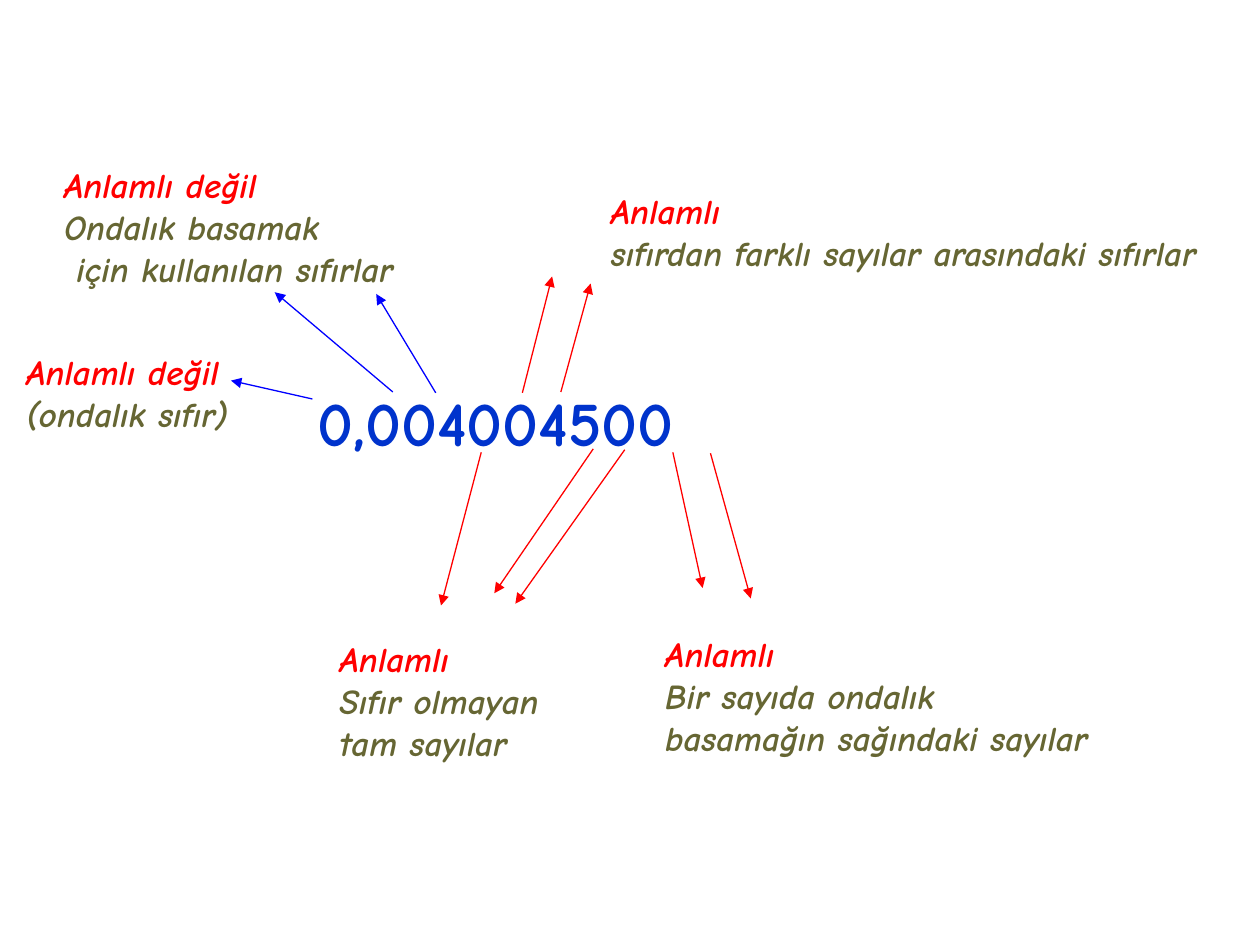
import pptx
import pptx.dml.color
import pptx.enum.shapes
import pptx.enum.text
import pptx.oxml.ns
import pptx.util
from lxml import etree

Pt = pptx.util.Pt
qn = pptx.oxml.ns.qn

FONT = "Comic Neue"
COLORS = {
    "number": "0033CC",
    "verdict": "FF0000",
    "reason": "666633",
    "significant": "FF0000",
    "not_significant": "0000FF",
}

# Left, top, width, height, verdict, lines of the reason
LABELS = [
    (8, 196.5, 130, 55, "Anlamlı değil", ["(ondalık sıfır)"]),
    (29.5, 90, 203, 79, "Anlamlı değil", ["Ondalık basamak", "için kullanılan sıfırlar"]),
    (187, 361, 135, 79, "Anlamlı", ["Sıfır olmayan", "tam sayılar"]),
    (342, 105, 351, 55, "Anlamlı", ["sıfırdan farklı sayılar arasındaki sıfırlar"]),
    (373, 358, 256, 79, "Anlamlı", ["Bir sayıda ondalık", "basamağın sağındaki sayılar"]),
]
INDENTS = {"için kullanılan sıfırlar": 7}

# Start x, start y, end x, end y: from a digit to its label
ARROWS = {
    "not_significant": [
        (178.5, 228, 132, 217.5),
        (249, 224.5, 215, 168),
        (224.5, 224, 157, 167),
    ],
    "significant": [
        (275, 258.5, 252, 346),
        (339, 256.5, 282.5, 339),
        (357, 257, 294.5, 345),
        (320.5, 224, 337.5, 162),
        (298.5, 224.5, 315.5, 158),
        (384.5, 258.5, 401.5, 336),
        (406, 259, 429, 342),
    ],
}


def rgb(name):
    return pptx.dml.color.RGBColor.from_string(COLORS[name])


def format_paragraph(paragraph, size, color, italic=False, indent=0):
    properties = paragraph._p.get_or_add_pPr()
    properties.set("marL", str(Pt(indent)))
    properties.set("indent", "0")
    etree.SubElement(properties, qn("a:buNone"))
    paragraph.space_before = Pt(0)
    paragraph.alignment = pptx.enum.text.PP_ALIGN.LEFT
    font = paragraph.font
    font.name = FONT
    font.size = Pt(size)
    font.bold = True
    font.italic = italic
    font.color.rgb = rgb(color)


def add_number(slide, text):
    shape = slide.placeholders[1]
    shape.left, shape.top, shape.width, shape.height = Pt(54), Pt(215.5), Pt(648), Pt(324.5)
    frame = shape.text_frame
    frame.auto_size = pptx.enum.text.MSO_AUTO_SIZE.NONE
    frame.text = text
    format_paragraph(frame.paragraphs[0], 36, "number", indent=120)


def add_label(slide, left, top, width, height, verdict, reason):
    shape = slide.shapes.add_textbox(Pt(left), Pt(top), Pt(width), Pt(height))
    frame = shape.text_frame
    frame.word_wrap = False
    frame.text = "\n".join([verdict, *reason])
    for index, paragraph in enumerate(frame.paragraphs):
        color = "reason" if index else "verdict"
        indent = INDENTS.get(paragraph.text, 0)
        format_paragraph(paragraph, 20, color, italic=True, indent=indent)


def add_arrow(slide, points, color):
    connector = slide.shapes.add_connector(
        pptx.enum.shapes.MSO_CONNECTOR.STRAIGHT, *(Pt(value) for value in points))
    connector.line.color.rgb = rgb(color)
    connector.line.width = Pt(0.75)
    line = connector.line._get_or_add_ln()
    etree.SubElement(line, qn("a:tailEnd"), type="triangle")
    etree.SubElement(connector._element.spPr, qn("a:effectLst"))


def main():
    presentation = pptx.Presentation()
    presentation.slide_width, presentation.slide_height = Pt(720), Pt(540)
    slide = presentation.slides.add_slide(presentation.slide_layouts[1])

    # The slide has no title
    title = slide.shapes.title._element
    title.getparent().remove(title)

    # Number in the middle, explanations around it
    add_number(slide, "0,004004500")
    for label in LABELS:
        add_label(slide, *label)

    # Arrows from the digits to the explanations
    for kind, arrows in ARROWS.items():
        for points in arrows:
            add_arrow(slide, points, kind)

    presentation.save("out.pptx")


if __name__ == "__main__":
    main()
